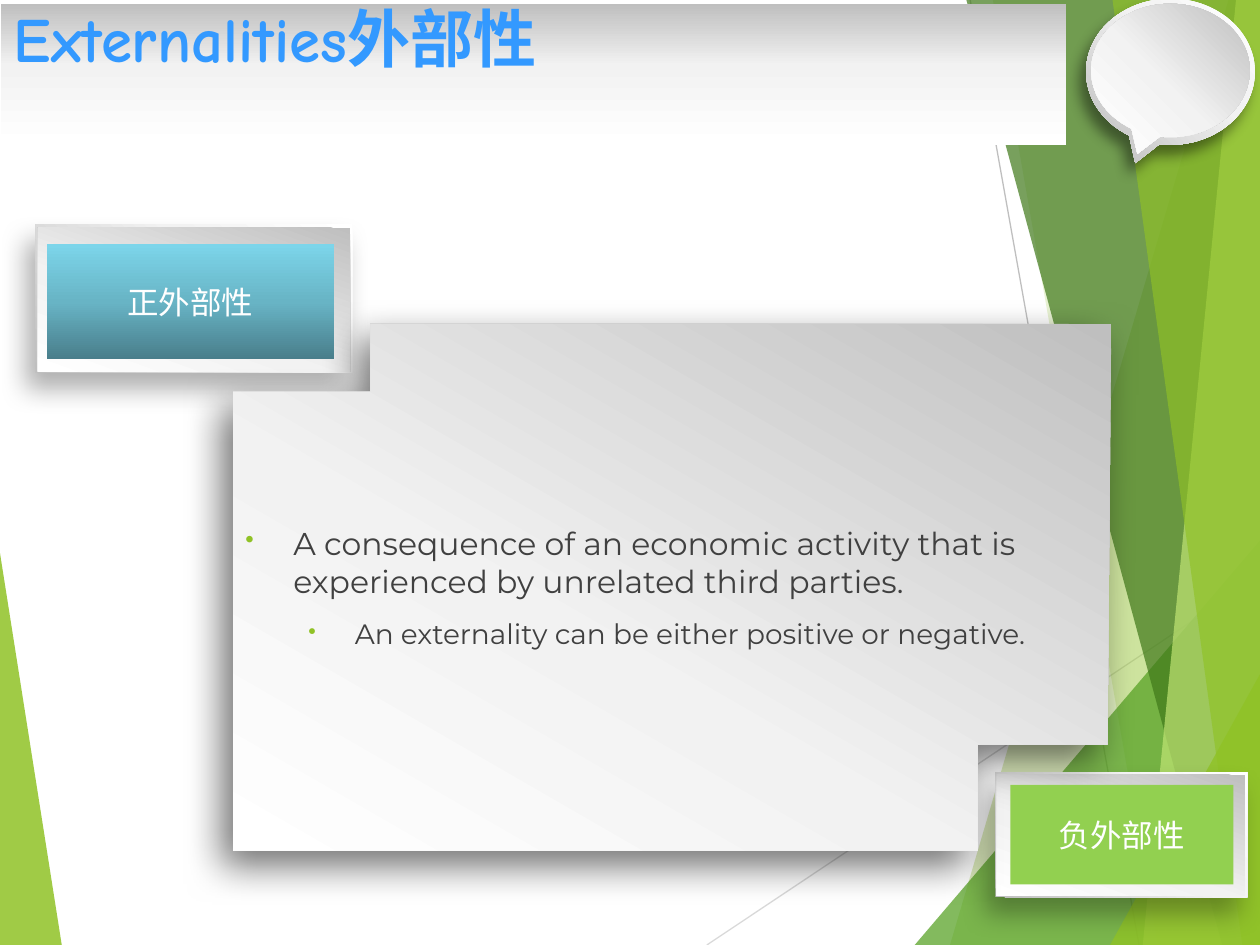
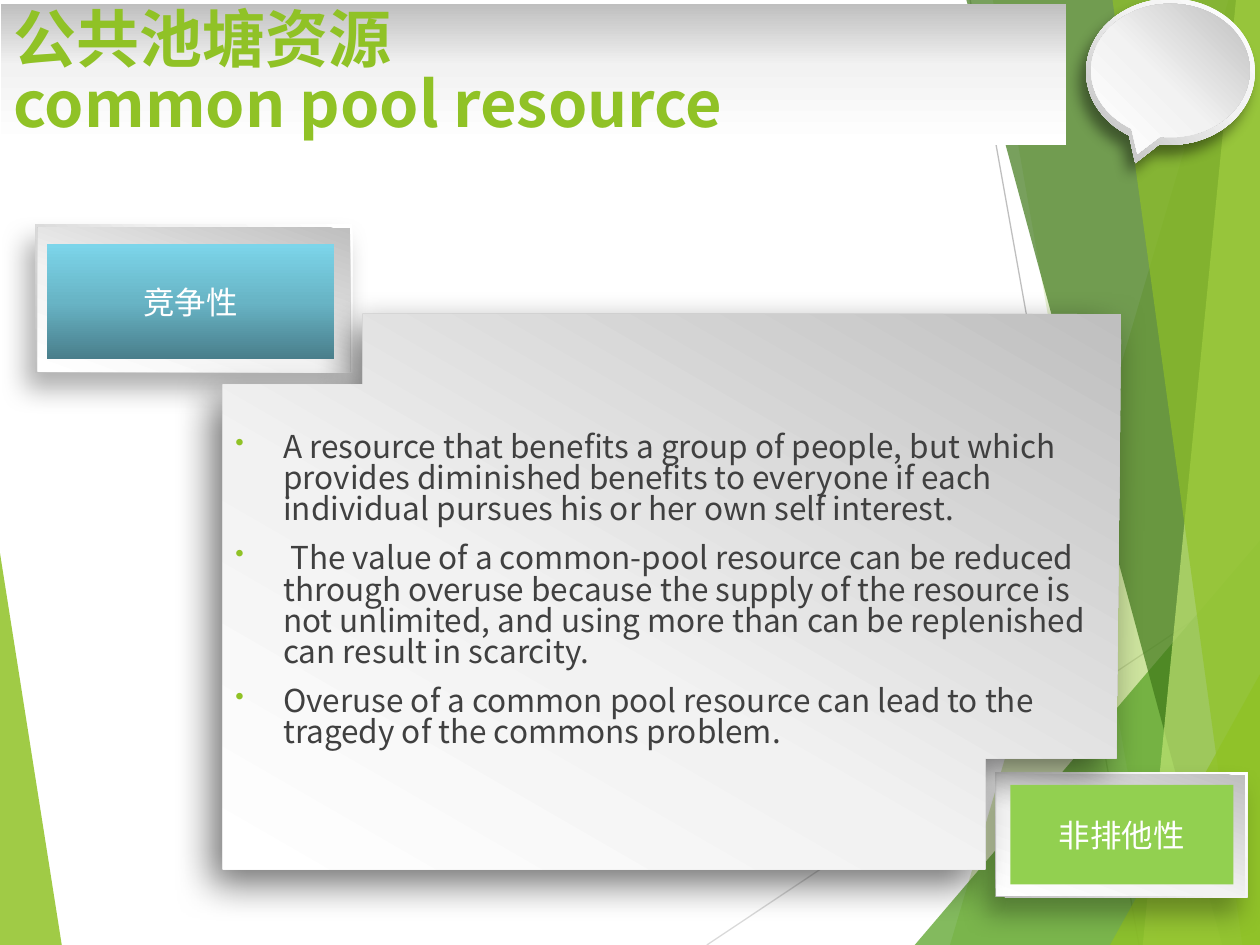
from dataclasses import dataclass
from typing import Optional

from lxml.etree import SubElement
from pptx import Presentation
from pptx.dml.color import RGBColor
from pptx.enum.shapes import MSO_CONNECTOR as Connector, MSO_SHAPE as Preset
from pptx.enum.text import MSO_ANCHOR as Anchor, PP_ALIGN as Align
from pptx.oxml.ns import qn
from pptx.util import Emu, Pt

PX = 9144
WIDTH, HEIGHT = 1000, 750
CJK_FONT = "Noto Sans CJK SC"
COLORS = {
    "white": "FFFFFF",
    "silver": "F2F2F2",
    "gray": "BFBFBF",
    "pale_gray": "D9D9D9",
    "text": "404040",
    "black": "000000",
    "blue": "3399FF",
    "lime": "90C226",
    "light_lime": "C0E474",
    "leaf": "54A021",
    "forest": "3F7819",
    "label_green": "92D050",
    "teal_dark": "497E8B",
    "teal": "68B4C5",
    "teal_light": "7CD5EA",
}


@dataclass(frozen=True)
class Gradient:
    """Colour stops along an angle, or outward from the lower left corner."""
    stops: tuple
    angle: Optional[int] = None


@dataclass(frozen=True)
class Shadow:
    """An outer shadow: opacity in percent, lengths in points."""
    alpha: int
    blur: int
    distance: int
    direction: int


@dataclass(frozen=True)
class Facet:
    """A translucent polygon of the background."""
    color: str
    alpha: int
    points: tuple


@dataclass(frozen=True)
class Ray:
    """A thin background line."""
    color: str
    start: tuple
    end: tuple


@dataclass(frozen=True)
class Plate:
    """A decorative preset shape with a gradient."""
    box: tuple
    gradient: Gradient
    shadow: Optional[Shadow] = None
    preset: Preset = Preset.RECTANGLE


@dataclass(frozen=True)
class TextStyle:
    """Typeface settings of a text."""
    size: int
    color: str
    font: str = CJK_FONT
    bold: bool = False
    spacing: Optional[float] = None


@dataclass(frozen=True)
class Bullet:
    """A bulleted paragraph with its hanging indent."""
    text: str
    size: int = 18
    margin: int = 38
    hanging: int = 38
    level: int = 0


@dataclass(frozen=True)
class Topic:
    """The content of one slide."""
    title: str
    title_style: TextStyle
    panel: tuple
    body_style: TextStyle
    bullets: tuple
    first_label: str
    second_label: str


def silver(middle: int, angle: Optional[int] = None) -> Gradient:
    """Return the gray to white gradient."""
    return Gradient(((0, "gray"), (middle, "silver"), (100, "white")), angle)


FRAME_SHADOW = Shadow(31, 15, 11, 119)
PANEL_SHADOW = Shadow(55, 22, 11, 126)
TEAL = Gradient(((0, "teal_dark"), (50, "teal"), (100, "teal_light")), 270)
TITLE_BOX = (1, 3, 845, 112)
FIRST_LABEL_BOX = (37, 194, 228, 91)
SECOND_LABEL_BOX = (802, 623, 177, 79)
LABEL_STYLE = TextStyle(18, "white")
PANEL_OUTLINE = (
    (0.156, 0), (1, 0), (0.995, 0.8), (0.848, 0.8), (0.848, 1),
    (0, 1), (0, 0.128), (0.156, 0.128),
)
LEFT_FACET = Facet("lime", 85, ((0, 439), (49, HEIGHT), (0, HEIGHT)))
RAYS = (
    Ray("pale_gray", (561, HEIGHT), (WIDTH, 457)),
    Ray("gray", (770, 0), (904, HEIGHT)),
)


def right_facet(color: str, alpha: int, top_x: int, bottom_x: int, top: int = 0) -> Facet:
    """Return a facet that reaches the right and lower edges of the slide."""
    points = ((top_x, top), (bottom_x, HEIGHT), (WIDTH, HEIGHT), (WIDTH, top))
    return Facet(color, alpha, points)


RIGHT_FACETS = (
    right_facet("lime", 30, 975, 754),
    right_facet("lime", 20, 788, 919),
    right_facet("leaf", 72, WIDTH, 726, 429),
    right_facet("forest", 70, 767, 970),
    right_facet("light_lime", 70, 981, 907),
    right_facet("lime", 65, 883, 986),
    right_facet("lime", 80, WIDTH, 881, 535),
)
PLATES = (
    Plate((862, -1, 134, 116), silver(57), Shadow(44, 8, 7, 120), Preset.OVAL_CALLOUT),
    Plate((866, 3, 126, 106), silver(57, 135), None, Preset.OVAL_CALLOUT),
    Plate((28, 178, 252, 118), silver(60, 315), FRAME_SHADOW),
    Plate((30, 181, 248, 114), silver(60, 110)),
    Plate((790, 613, 200, 99), silver(60, 315), FRAME_SHADOW),
    Plate((791, 615, 197, 96), silver(60, 110)),
)
TOPICS = (
    Topic(
        "Externalities外部性",
        TextStyle(36, "blue", "Comic Neue", True, 0.86),
        (185, 257, 697, 418),
        TextStyle(18, "text", "Montserrat"),
        (
            Bullet("A consequence of an economic activity that is experienced "
                   "by unrelated third parties."),
            Bullet(" An externality can be either positive or negative.", 16, 81, 31, 1),
        ),
        "正外部性",
        "负外部性",
    ),
    Topic(
        "公共池塘资源\ncommon pool resource",
        TextStyle(36, "lime", bold=True, spacing=0.86),
        (177, 249, 713, 441),
        TextStyle(18, "text", spacing=0.83),
        (
            Bullet("A resource that benefits a group of people, but which provides "
                   "diminished benefits to everyone if each individual pursues his "
                   "or her own self interest."),
            Bullet(" The value of a common-pool resource can be reduced through "
                   "overuse because the supply of the resource is not unlimited, and "
                   "using more than can be replenished can result in scarcity."),
            Bullet("Overuse of a common pool resource can lead to the tragedy of "
                   "the commons problem."),
        ),
        "竞争性",
        "非排他性",
    ),
)


def px(*lengths: int) -> list:
    """Turn px lengths into EMU."""
    return [Emu(length * PX) for length in lengths]


def rgb(name: str) -> RGBColor:
    """Look up a named colour."""
    return RGBColor.from_string(COLORS[name])


def strip_effects(shape) -> None:
    """Remove the default outline and shadow."""
    shape.shadow.inherit = False
    shape.line.fill.background()


def set_solid(shape, color: str, alpha: int = 100) -> None:
    """Fill a shape with one colour of the given opacity."""
    shape.fill.solid()
    shape.fill.fore_color.rgb = rgb(color)
    if alpha < 100:
        color_element = shape.element.spPr.find(f".//{qn('a:srgbClr')}")
        SubElement(color_element, qn("a:alpha"), val=str(alpha * 1000))


def set_gradient(shape, gradient: Gradient) -> None:
    """Fill a shape with a linear or circular gradient."""
    shape.fill.gradient()
    fill = shape.element.spPr.find(qn("a:gradFill"))
    fill.clear()
    stop_list = SubElement(fill, qn("a:gsLst"))
    for position, color in gradient.stops:
        stop = SubElement(stop_list, qn("a:gs"), pos=str(position * 1000))
        SubElement(stop, qn("a:srgbClr"), val=COLORS[color])
    if gradient.angle is None:
        circle = SubElement(fill, qn("a:path"), path="circle")
        SubElement(circle, qn("a:fillToRect"), t="100000", r="100000")
    else:
        SubElement(fill, qn("a:lin"), ang=str(gradient.angle * 60000), scaled="0")


def set_shadow(shape, shadow: Shadow) -> None:
    """Give a stripped shape an outer shadow."""
    effects = shape.element.spPr.find(qn("a:effectLst"))
    outer = SubElement(
        effects, qn("a:outerShdw"), blurRad=str(Pt(shadow.blur)),
        dist=str(Pt(shadow.distance)), dir=str(shadow.direction * 60000),
        algn="ctr", rotWithShape="0",
    )
    color = SubElement(outer, qn("a:srgbClr"), val=COLORS["black"])
    SubElement(color, qn("a:alpha"), val=str(shadow.alpha * 1000))


def add_polygon(slide, points: tuple):
    """Draw a closed outline through points given in px."""
    builder = slide.shapes.build_freeform(*points[0], scale=PX)
    builder.add_line_segments(points[1:], close=True)
    shape = builder.convert_to_shape()
    strip_effects(shape)
    return shape


def add_facet(slide, facet: Facet) -> None:
    """Draw a background polygon."""
    set_solid(add_polygon(slide, facet.points), facet.color, facet.alpha)


def add_ray(slide, ray: Ray) -> None:
    """Draw a background line."""
    line = slide.shapes.add_connector(Connector.STRAIGHT, *px(*ray.start, *ray.end))
    line.line.color.rgb = rgb(ray.color)
    line.line.width = Pt(0.75)
    SubElement(line.element.spPr, qn("a:effectLst"))


def add_plate(slide, plate: Plate):
    """Draw a preset shape with its gradient and shadow."""
    shape = slide.shapes.add_shape(plate.preset, *px(*plate.box))
    strip_effects(shape)
    set_gradient(shape, plate.gradient)
    if plate.shadow:
        set_shadow(shape, plate.shadow)
    return shape


def write(paragraph, text: str, style: TextStyle, size: int, align: Align) -> None:
    """Fill a paragraph and format its runs."""
    paragraph.text = text
    paragraph.alignment = align
    if style.spacing:
        paragraph.line_spacing = style.spacing
    for run in paragraph.runs:
        run.font.size = Pt(size)
        run.font.bold = style.bold
        run.font.color.rgb = rgb(style.color)
        run.font.name = style.font
        SubElement(run.font._element, qn("a:ea"), typeface=CJK_FONT)


def write_single(shape, text: str, style: TextStyle, anchor: Anchor, align: Align) -> None:
    """Write one paragraph into a shape."""
    frame = shape.text_frame
    frame.word_wrap = True
    frame.vertical_anchor = anchor
    write(frame.paragraphs[0], text, style, style.size, align)


def add_panel(slide, topic: Topic) -> None:
    """Draw the notched panel with its bullets."""
    left, top, width, height = topic.panel
    points = tuple((round(left + x * width), round(top + y * height)) for x, y in PANEL_OUTLINE)
    panel = add_polygon(slide, points)
    set_gradient(panel, silver(60, 120))
    set_shadow(panel, PANEL_SHADOW)
    frame = panel.text_frame
    frame.word_wrap = True
    frame.vertical_anchor = Anchor.MIDDLE
    for index, bullet in enumerate(topic.bullets):
        paragraph = frame.add_paragraph() if index else frame.paragraphs[0]
        properties = paragraph._p.get_or_add_pPr()
        properties.set("marL", str(bullet.margin * PX))
        properties.set("indent", str(-bullet.hanging * PX))
        bullet_color = SubElement(properties, qn("a:buClr"))
        SubElement(bullet_color, qn("a:srgbClr"), val=COLORS["lime"])
        SubElement(properties, qn("a:buSzPct"), val="80000")
        SubElement(properties, qn("a:buChar"), char="•")
        paragraph.level = bullet.level
        if index:
            paragraph.space_before = Pt(10)
        write(paragraph, bullet.text, topic.body_style, bullet.size, Align.LEFT)


def add_background(slide) -> None:
    """Draw the decoration shared by all slides."""
    add_facet(slide, LEFT_FACET)
    for ray in RAYS:
        add_ray(slide, ray)
    for facet in RIGHT_FACETS:
        add_facet(slide, facet)
    for plate in PLATES:
        add_plate(slide, plate)


def add_topic(presentation, topic: Topic) -> None:
    """Build one slide."""
    slide = presentation.slides.add_slide(presentation.slide_layouts[6])
    add_background(slide)
    title = add_plate(slide, Plate(TITLE_BOX, silver(44, 90)))
    write_single(title, topic.title, topic.title_style, Anchor.TOP, Align.LEFT)
    add_panel(slide, topic)
    first = add_plate(slide, Plate(FIRST_LABEL_BOX, TEAL))
    second = add_plate(slide, Plate(SECOND_LABEL_BOX, TEAL))
    set_solid(second, "label_green")
    for label, text in ((first, topic.first_label), (second, topic.second_label)):
        write_single(label, text, LABEL_STYLE, Anchor.MIDDLE, Align.CENTER)


def main() -> None:
    """Build and save the presentation."""
    presentation = Presentation()
    presentation.slide_width, presentation.slide_height = px(WIDTH, HEIGHT)
    for topic in TOPICS:
        add_topic(presentation, topic)
    presentation.save("out.pptx")


if __name__ == "__main__":
    main()
